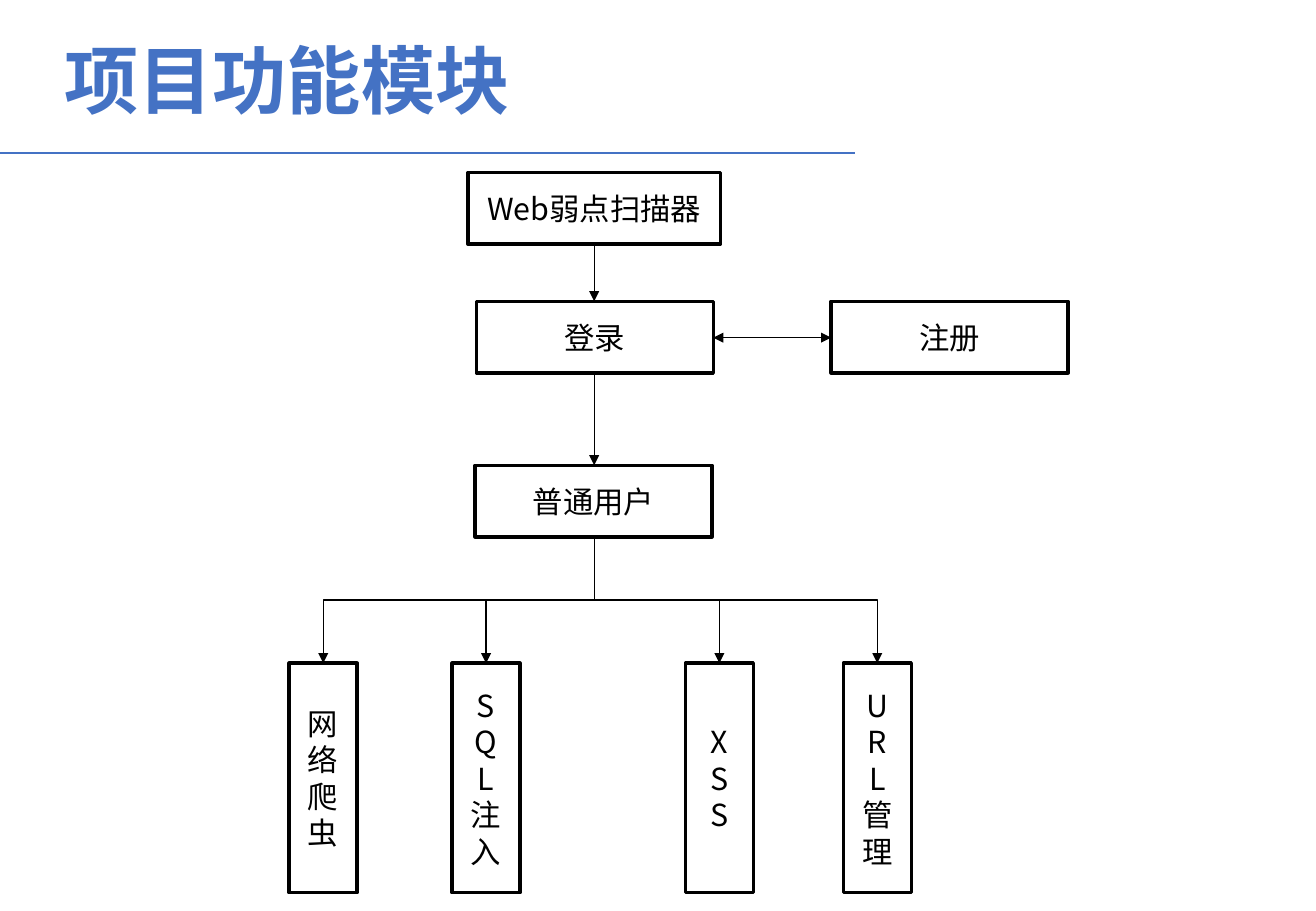
import pptx
import pptx.util
import pptx.dml.color
import pptx.enum.shapes
import pptx.enum.text
import pptx.oxml.ns
import lxml.etree

PX = 9144
THEME = {
    "font": "Noto Sans CJK SC",
    "accent": pptx.dml.color.RGBColor.from_string("4472C4"),
    "ink": pptx.dml.color.RGBColor.from_string("000000"),
    "paper": pptx.dml.color.RGBColor.from_string("FFFFFF"),
    "title": pptx.util.Pt(44),
    "label": pptx.util.Pt(18),
    "leading": pptx.util.Pt(21.6),
    "rule": pptx.util.Pt(1.25),
    "border": pptx.util.Pt(2),
    "arrow": pptx.util.Pt(0.75),
}
qn = pptx.oxml.ns.qn
KIND = pptx.enum.shapes.MSO_CONNECTOR

prs = pptx.Presentation()
prs.slide_width = 1083 * PX
prs.slide_height = 750 * PX
s = prs.slides.add_slide(prs.slide_layouts[6])


def add_run(p, text, size, color):
    r = p.add_run()
    r.text = text
    r.font.size = size
    r.font.name = THEME["font"]
    r.font.color.rgb = color
    ea = lxml.etree.Element(qn("a:ea"), typeface=THEME["font"])
    r.font._element.find(qn("a:latin")).addnext(ea)
    return r


def add_line(kind, x1, y1, x2, y2, color, width, ends=()):
    c = s.shapes.add_connector(kind, *[round(v * PX) for v in (x1, y1, x2, y2)])
    c.line.color.rgb = color
    c.line.width = width
    for end in ends:
        lxml.etree.SubElement(c.line._get_or_add_ln(), qn(end), type="triangle")
    lxml.etree.SubElement(c._element.spPr, qn("a:effectLst"))
    return c


add_line(KIND.STRAIGHT, 0, 126, 704, 126, THEME["accent"], THEME["rule"])

title = s.shapes.add_textbox(43 * PX, 32 * PX, 870 * PX, 71 * PX)
tf = title.text_frame
tf.word_wrap = True
p = tf.paragraphs[0]
p.line_spacing = 0.9
add_run(p, "项目功能模块", THEME["title"], THEME["accent"]).font.bold = True

CENTER = 489
BRANCH_TOP, BRANCH_W, BRANCH_H = 546, 56, 189
branches = [
    (238, ["网络爬虫"]),
    (372, ["S", "Q", "L注入"]),
    (564, ["X", "S", "S"]),
    (694, ["U", "R", "L管理"]),
]
boxes = [
    (385, 142, 208, 59, ["Web弱点扫描器"]),
    (392, 248, 195, 59, ["登录"]),
    (684, 248, 195, 59, ["注册"]),
    (391, 383, 195, 59, ["普通用户"]),
]
boxes += [(x, BRANCH_TOP, BRANCH_W, BRANCH_H, lines) for x, lines in branches]

for x, y, w, h, lines in boxes:
    sp = s.shapes.add_shape(
        pptx.enum.shapes.MSO_SHAPE.RECTANGLE, x * PX, y * PX, w * PX, h * PX
    )
    sp.shadow.inherit = False
    sp.fill.solid()
    sp.fill.fore_color.rgb = THEME["paper"]
    sp.line.color.rgb = THEME["ink"]
    sp.line.width = THEME["border"]
    tf = sp.text_frame
    tf.word_wrap = True
    tf.vertical_anchor = pptx.enum.text.MSO_ANCHOR.MIDDLE
    for i, text in enumerate(lines):
        p = tf.add_paragraph() if i else tf.paragraphs[0]
        p.alignment = pptx.enum.text.PP_ALIGN.CENTER
        p.line_spacing = THEME["leading"]
        add_run(p, text, THEME["label"], THEME["ink"])

arrows = [
    (CENTER, 201, CENTER, 248, ["a:tailEnd"]),
    (CENTER, 307, CENTER, 383, ["a:tailEnd"]),
    (587, 278, 684, 278, ["a:headEnd", "a:tailEnd"]),
]
for x1, y1, x2, y2, ends in arrows:
    add_line(KIND.STRAIGHT, x1, y1, x2, y2, THEME["ink"], THEME["arrow"], ends)

USER_BOTTOM = 442
mid_y = (USER_BOTTOM + BRANCH_TOP) / 2
half_drop = (BRANCH_TOP - USER_BOTTOM) / 2
for x, lines in branches:
    target = x + BRANCH_W / 2
    mid_x = (CENTER + target) / 2
    half_span = (CENTER - target) / 2
    c = add_line(
        KIND.ELBOW,
        mid_x - half_drop, mid_y - half_span,
        mid_x + half_drop, mid_y + half_span,
        THEME["ink"], THEME["arrow"], ["a:tailEnd"],
    )
    c._element.spPr.find(qn("a:xfrm")).set("rot", "5400000")

prs.save("out.pptx")
